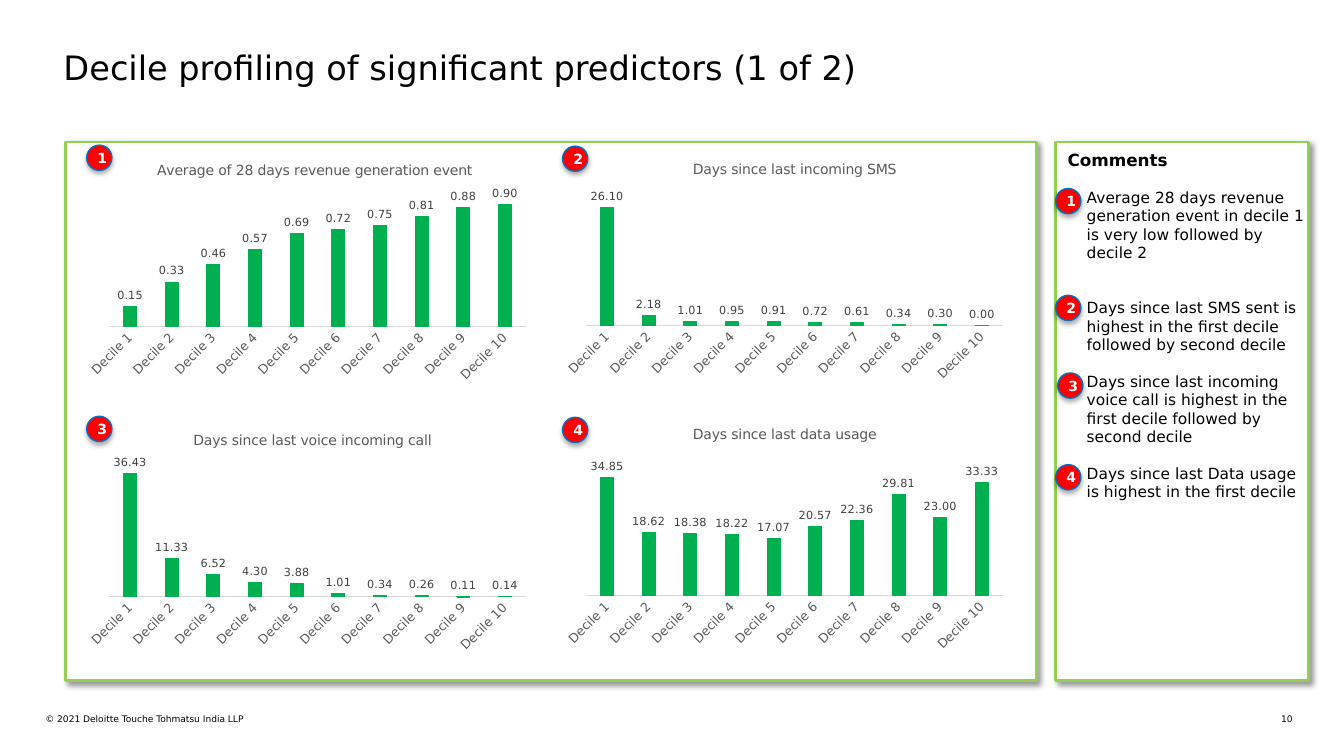
from dataclasses import dataclass

from lxml import etree
from pptx import Presentation
from pptx.chart.data import CategoryChartData
from pptx.dml.color import RGBColor
from pptx.enum import chart as ch, shapes, text
from pptx.oxml import ns, parse_xml
from pptx.util import Inches, Pt

FONT = "DejaVu Sans"
COLORS = {
    "black": "000000", "white": "FFFFFF", "frame": "92D050", "bar": "00B050",
    "badge": "FF0000", "badge_line": "0070C0", "axis_text": "595959",
    "axis_line": "D9D9D9", "label": "404040",
}
DECILES = [f"Decile {n}" for n in range(1, 11)]
BADGE_SIZE = 0.25
CHART_W, CHART_H = 4.49, 2.49


@dataclass
class Shadow:
    alpha: int
    blur: float
    dist: float
    angle: int


@dataclass
class Profile:
    title: str
    left: float
    top: float
    title_x: float
    title_y: float
    axis_max: float
    values: tuple[float, ...]
    badge: tuple[float, float]


@dataclass
class Comment:
    text: str
    space_before: float
    badge: tuple[float, float]


FRAME_SHADOW = Shadow(40, 4, 3, 45)
BADGE_SHADOW = Shadow(32, 3.5, 2.2, 90)

PROFILES = [
    Profile("Average of 28 days revenue generation event", 0.86, 1.45, 0.15, 0.05, 1,
            (0.15, 0.33, 0.46, 0.57, 0.69, 0.72, 0.75, 0.81, 0.88, 0.9), (0.86, 1.44)),
    Profile("Days since last incoming SMS", 5.59, 1.44, 0.28, 0.05, 30,
            (26.1, 2.18, 1.01, 0.95, 0.91, 0.72, 0.61, 0.34, 0.3, 0), (5.58, 1.45)),
    Profile("Days since last voice incoming call", 0.86, 4.13, 0.23, 0.05, 40,
            (36.43, 11.33, 6.52, 4.3, 3.88, 1.01, 0.34, 0.26, 0.11, 0.14), (0.86, 4.13)),
    Profile("Days since last data usage", 5.59, 4.12, 0.28, 0.03, 40,
            (34.85, 18.62, 18.38, 18.22, 17.07, 20.57, 22.36, 29.81, 23, 33.33), (5.58, 4.14)),
]

COMMENTS = [
    Comment("Average 28 days revenue generation event in decile 1 is very low followed by decile 2",
            12.5, (10.47, 1.87)),
    Comment("Days since last SMS sent is highest in the first decile followed by second decile",
            26, (10.47, 2.93)),
    Comment("Days since last incoming voice call is highest in the first decile followed by "
            "second decile", 13, (10.49, 3.7)),
    Comment("Days since last Data usage is highest in the first decile", 13, (10.47, 4.61)),
]


def rgb(name: str) -> RGBColor:
    return RGBColor.from_string(COLORS[name])


def style_font(font, size: float, color: str = "black", bold: bool = False) -> None:
    font.name, font.size, font.bold = FONT, Pt(size), bold
    font.color.rgb = rgb(color)


def write(p, content: str, *, size: float, color: str = "black", bold: bool = False,
          align=text.PP_ALIGN.LEFT, before: float = 0, indent: float = 0,
          spacing: float | None = None) -> None:
    """Fill a paragraph with one formatted run."""
    r = p.add_run()
    r.text = content
    style_font(r.font, size, color, bold)
    p.alignment = align
    if before:
        p.space_before = Pt(before)
    if indent:
        p._p.get_or_add_pPr().set("marL", str(Inches(indent)))
    if spacing:
        p.line_spacing = spacing


def add_text_frame(slide, left: float, top: float, width: float, height: float,
                   margins: tuple[float, float, float, float] = (0, 0, 0, 0)):
    tf = slide.shapes.add_textbox(*map(Inches, (left, top, width, height))).text_frame
    tf.word_wrap = True
    set_margins(tf, margins)
    return tf


def set_margins(tf, margins: tuple[float, float, float, float]) -> None:
    tf.margin_left, tf.margin_top, tf.margin_right, tf.margin_bottom = map(Inches, margins)


def add_panel(slide, kind, box: tuple[float, float, float, float], fill: str, line: str,
              line_width: float, shadow: Shadow):
    """Add a filled, outlined shape with an outer shadow."""
    sp = slide.shapes.add_shape(kind, *map(Inches, box))
    sp.fill.solid()
    sp.fill.fore_color.rgb = rgb(fill)
    sp.line.color.rgb = rgb(line)
    sp.line.width = Pt(line_width)
    sp.shadow.inherit = False
    effects = sp._element.spPr.find(ns.qn("a:effectLst"))
    outer = etree.SubElement(effects, ns.qn("a:outerShdw"), blurRad=str(Pt(shadow.blur)),
                             dist=str(Pt(shadow.dist)), dir=str(shadow.angle * 60000),
                             rotWithShape="0")
    tint = etree.SubElement(outer, ns.qn("a:srgbClr"), val=COLORS["black"])
    etree.SubElement(tint, ns.qn("a:alpha"), val=str(shadow.alpha * 1000))
    return sp


def add_badge(slide, number: int, left: float, top: float) -> None:
    sp = add_panel(slide, shapes.MSO_SHAPE.OVAL, (left, top, BADGE_SIZE, BADGE_SIZE),
                   "badge", "badge_line", 1, BADGE_SHADOW)
    tf = sp.text_frame
    tf.vertical_anchor = text.MSO_ANCHOR.MIDDLE
    set_margins(tf, (0.06, 0, 0, 0))
    write(tf.paragraphs[0], str(number), size=10, color="white", bold=True,
          align=text.PP_ALIGN.CENTER)


def set_layout(parent, index: int, **settings) -> None:
    """Give a chart part a manual layout, as fractions of the chart."""
    for old in parent.findall(ns.qn("c:layout")):
        parent.remove(old)
    items = "".join(f'<c:{key} val="{value}"/>' for key, value in settings.items())
    parent.insert(index, parse_xml(
        f'<c:layout {ns.nsdecls("c")}><c:manualLayout>{items}</c:manualLayout></c:layout>'))


def add_profile_chart(slide, profile: Profile) -> None:
    data = CategoryChartData(number_format="0.00")
    data.categories = DECILES
    data.add_series("Series 1", profile.values)
    box = map(Inches, (profile.left, profile.top, CHART_W, CHART_H))
    chart = slide.shapes.add_chart(ch.XL_CHART_TYPE.COLUMN_CLUSTERED, *box, data).chart
    style_font(chart.font, 10)
    chart.has_legend = False

    title = chart.chart_title
    write(title.text_frame.paragraphs[0], profile.title, size=10, color="axis_text",
          align=text.PP_ALIGN.CENTER)
    set_layout(title._element, 1, xMode="edge", yMode="edge",
               x=profile.title_x, y=profile.title_y)
    set_layout(chart._chartSpace.chart.plotArea, 0, layoutTarget="inner", xMode="edge",
               yMode="edge", x=0.05, y=0.18, w=0.92, h=0.54)

    deciles = chart.category_axis
    deciles.major_tick_mark = deciles.minor_tick_mark = ch.XL_TICK_MARK.NONE
    deciles.format.line.color.rgb = rgb("axis_line")
    deciles.format.line.width = Pt(0.75)
    style_font(deciles.tick_labels.font, 9, "axis_text")
    deciles._element.txPr.find(ns.qn("a:bodyPr")).set("rot", str(-45 * 60000))

    values = chart.value_axis
    values.minimum_scale, values.maximum_scale = 0, profile.axis_max
    values.has_major_gridlines = values.visible = False

    plot = chart.plots[0]
    plot.gap_width, plot.overlap, plot.vary_by_categories = 219, -27, False
    bars = plot.series[0].format
    bars.fill.solid()
    bars.fill.fore_color.rgb = bars.line.color.rgb = rgb("bar")
    bars.line.width = Pt(0.75)
    plot.has_data_labels = True
    labels = plot.data_labels
    labels.show_value = True
    labels.position = ch.XL_LABEL_POSITION.OUTSIDE_END
    labels.number_format, labels.number_format_is_linked = "0.00", False
    style_font(labels.font, 8, "label")


def main() -> None:
    prs = Presentation()
    prs.slide_width, prs.slide_height = Inches(13.33), Inches(7.5)
    slide = prs.slides.add_slide(prs.slide_layouts[6])

    for left, width in ((0.65, 9.63), (10.47, 2.51)):
        add_panel(slide, shapes.MSO_SHAPE.RECTANGLE, (left, 1.41, width, 5.34),
                  "white", "frame", 2, FRAME_SHADOW)

    tf = add_text_frame(slide, 0.63, 0.43, 11.13, 0.57)
    tf.vertical_anchor = text.MSO_ANCHOR.MIDDLE
    write(tf.paragraphs[0], "Decile profiling of significant predictors (1 of 2)",
          size=24, spacing=0.7)

    tf = add_text_frame(slide, 10.49, 1.44, 2.54, 3.63, (0.1, 0.05, 0.08, 0.05))
    write(tf.paragraphs[0], "Comments", size=12, bold=True)
    for number, comment in enumerate(COMMENTS, 1):
        write(tf.add_paragraph(), comment.text, size=11, before=comment.space_before,
              indent=0.19)
        add_badge(slide, number, *comment.badge)

    for number, profile in enumerate(PROFILES, 1):
        add_profile_chart(slide, profile)
        add_badge(slide, number, *profile.badge)

    tf = add_text_frame(slide, 0.45, 7.08, 4.76, 0.11)
    write(tf.paragraphs[0], "© 2021 Deloitte Touche Tohmatsu India LLP", size=6.5)
    tf = add_text_frame(slide, 12.48, 7.08, 0.34, 0.11)
    write(tf.paragraphs[0], "10", size=6.5, align=text.PP_ALIGN.RIGHT)

    prs.save("out.pptx")


if __name__ == "__main__":
    main()
